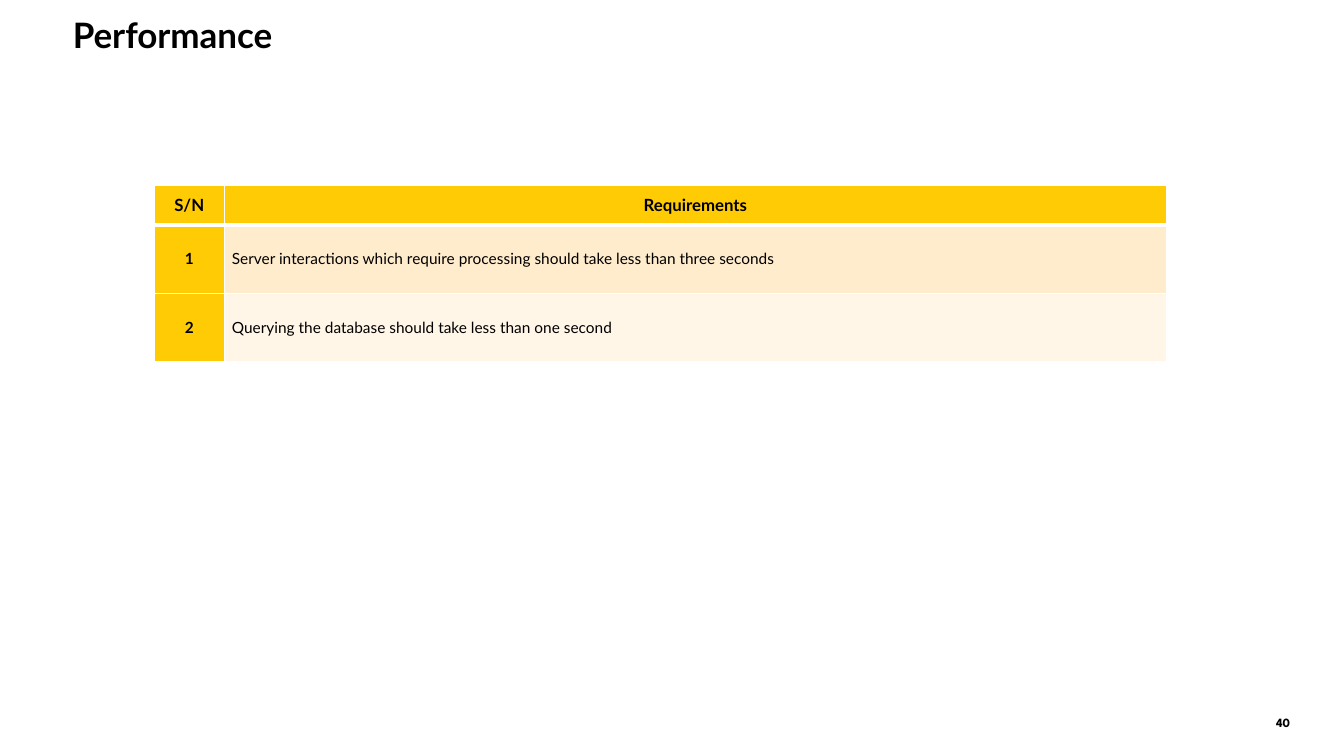
import dataclasses

import pptx
import pptx.dml.color
import pptx.enum.shapes
import pptx.enum.text
import pptx.oxml
import pptx.oxml.ns
import pptx.util

Pt = pptx.util.Pt
RGB = pptx.dml.color.RGBColor.from_string
ALIGN = pptx.enum.text.PP_ALIGN
MIDDLE = pptx.enum.text.MSO_ANCHOR.MIDDLE


@dataclasses.dataclass(frozen=True)
class Theme:
    font: str = "Lato"
    number_font: str = "League Spartan"
    text: str = "000000"
    white: str = "FFFFFF"
    accent: str = "FFCB05"
    bands: tuple = ("FFECCC", "FFF6E7")
    title_size: int = 25
    header_size: int = 12
    body_size: int = 11
    number_size: int = 9


THEME = Theme()
REQUIREMENTS = [
    "Server interactions which require processing should take less than three seconds",
    "Querying the database should take less than one second",
]


def write(p, text, size, bold=True, align=ALIGN.LEFT, font=THEME.font):
    p.text = text
    p.alignment = align
    p.font.name = font
    p.font.size = Pt(size)
    p.font.bold = bold
    p.font.color.rgb = RGB(THEME.text)


def set_insets(tf, left=0):
    tf.margin_left = Pt(left)
    tf.margin_right = tf.margin_top = tf.margin_bottom = 0
    tf.word_wrap = True


def add_title(slide, text, x, y, w, h):
    tf = slide.shapes.add_textbox(Pt(x), Pt(y), Pt(w), Pt(h)).text_frame
    set_insets(tf, left=10)
    p = tf.paragraphs[0]
    write(p, text, THEME.title_size)
    p.line_spacing = 0.9


def add_page_number(slide, number, x, y, w, h):
    sp = slide.shapes.add_shape(
        pptx.enum.shapes.MSO_SHAPE.OVAL, Pt(x), Pt(y), Pt(w), Pt(h))
    sp.shadow.inherit = False
    sp.fill.solid()
    sp.fill.fore_color.rgb = RGB(THEME.white)
    sp.line.fill.background()
    tf = sp.text_frame
    set_insets(tf)
    tf.vertical_anchor = MIDDLE
    write(tf.paragraphs[0], str(number), THEME.number_size,
          align=ALIGN.CENTER, font=THEME.number_font)


def style_cell(cell, fill, top=1, bottom=1):
    # Borders come before the fill in the cell properties
    tcPr = cell._tc.get_or_add_tcPr()
    for side, width in (("L", 1), ("R", 1), ("T", top), ("B", bottom)):
        tcPr.append(pptx.oxml.parse_xml(
            f'<a:ln{side} {pptx.oxml.ns.nsdecls("a")} w="{Pt(width)}">'
            f'<a:solidFill><a:srgbClr val="{THEME.white}"/></a:solidFill>'
            f'</a:ln{side}>'))
    cell.fill.solid()
    cell.fill.fore_color.rgb = RGB(fill)
    cell.vertical_anchor = MIDDLE
    cell.margin_left = cell.margin_right = Pt(5.4)
    cell.margin_top = cell.margin_bottom = Pt(3.6)


def add_requirements(slide, items, x, y, w, h, number_w=50, header_h=28):
    table = slide.shapes.add_table(
        len(items) + 1, 2, Pt(x), Pt(y), Pt(w), Pt(h)).table
    table.horz_banding = False
    table.columns[0].width = Pt(number_w)
    table.columns[1].width = Pt(w - number_w)

    # Header row
    table.rows[0].height = Pt(header_h)
    for col, label in enumerate(("S/N", "Requirements")):
        cell = table.cell(0, col)
        style_cell(cell, THEME.accent, bottom=3)
        write(cell.text_frame.paragraphs[0], label, THEME.header_size,
              align=ALIGN.CENTER)

    # Numbered rows
    for i, item in enumerate(items, start=1):
        table.rows[i].height = Pt((h - header_h) / len(items))
        number, body = table.cell(i, 0), table.cell(i, 1)
        top = 3 if i == 1 else 1
        style_cell(number, THEME.accent, top=top)
        style_cell(body, THEME.bands[(i - 1) % 2], top=top)
        write(number.text_frame.paragraphs[0], str(i), THEME.body_size,
              align=ALIGN.CENTER)
        p = body.text_frame.paragraphs[0]
        write(p, item, THEME.body_size, bold=False)
        p.space_before = p.space_after = Pt(6)


def main():
    prs = pptx.Presentation()
    prs.slide_width, prs.slide_height = Pt(960), Pt(540)
    slide = prs.slides.add_slide(prs.slide_layouts[6])
    add_page_number(slide, 40, 892, 506, 49, 19.5)
    add_title(slide, "Performance", 42, 13, 545, 39)
    add_requirements(slide, REQUIREMENTS, 110.2, 132.5, 723, 126)
    prs.save("out.pptx")


if __name__ == "__main__":
    main()
